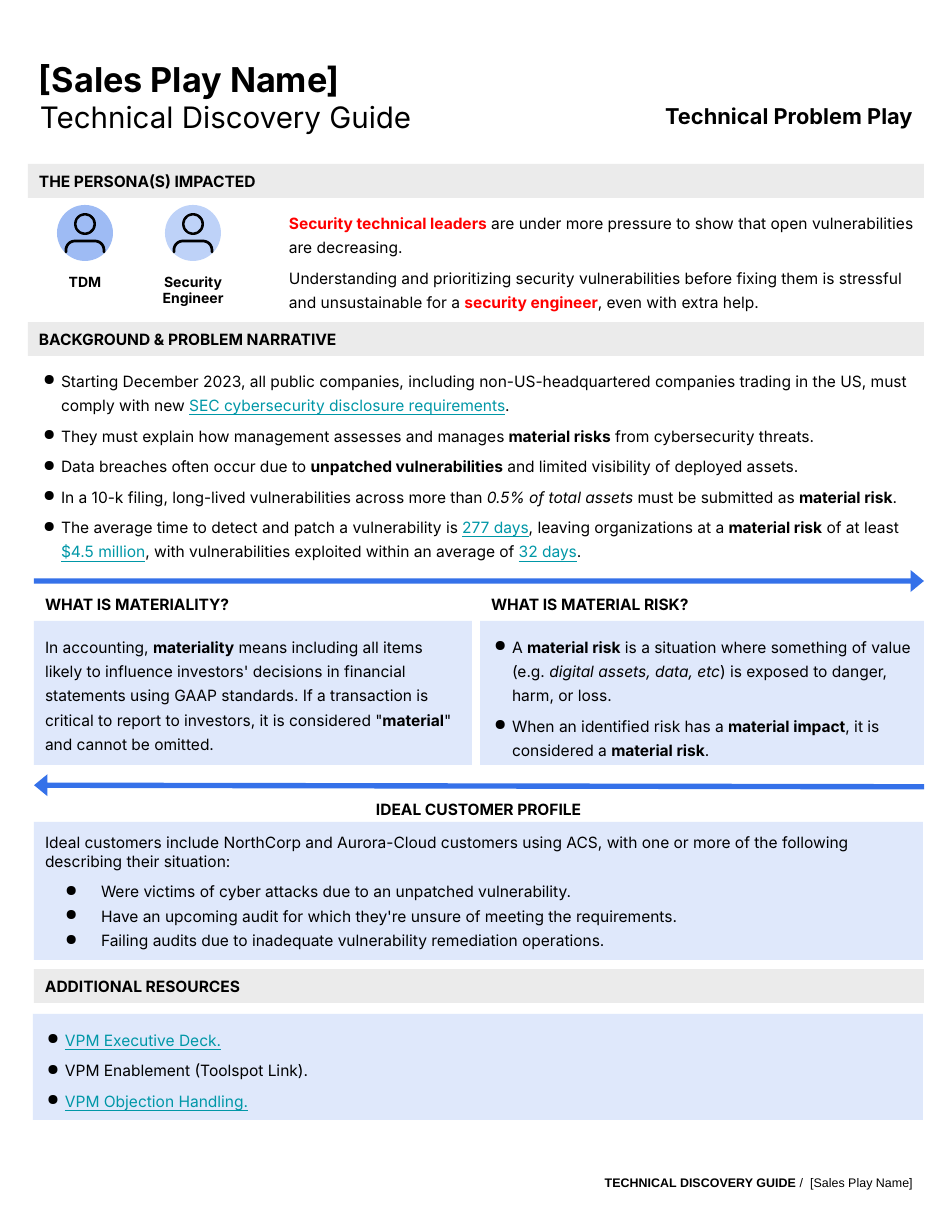
import math

from lxml import etree
from pptx import Presentation
from pptx import util as u
from pptx.dml.color import RGBColor
from pptx.enum import shapes, text
from pptx.oxml.ns import qn

SCALE = 914400 / 112
COLORS = {"black": "000000", "white": "FFFFFF", "red": "FF0000", "link": "0097A7",
          "bar": "EBEBEB", "panel": "DFE8FB", "arrow": "3571E9",
          "tdm": "9EBBF4", "engineer": "BED2F8"}
SHAPE = shapes.MSO_SHAPE
TOP, MIDDLE = text.MSO_ANCHOR.TOP, text.MSO_ANCHOR.MIDDLE
LEFT, CENTER, RIGHT = text.PP_ALIGN.LEFT, text.PP_ALIGN.CENTER, text.PP_ALIGN.RIGHT
TIGHT, WIDE = (21, -18), (56, -36)  # bullet margin and indent


def px(n):
    return u.Emu(round(n * SCALE))


def rgb(name):
    return RGBColor.from_string(COLORS[name])


def add_shape(s, kind, box, fill):
    sp = s.shapes.add_shape(kind, *map(px, box))
    sp.shadow.inherit = False
    sp.fill.solid()
    sp.fill.fore_color.rgb = rgb(fill)
    sp.line.fill.background()
    return sp


def add_bullet(p, margin, indent):
    pPr = p._p.get_or_add_pPr()
    pPr.set("marL", str(px(margin)))
    pPr.set("indent", str(px(indent)))
    clr = etree.SubElement(pPr, qn("a:buClr"))
    etree.SubElement(clr, qn("a:srgbClr"), val=COLORS["black"])
    etree.SubElement(pPr, qn("a:buChar"), char="●")


def add_run(p, content, style, size, font):
    """Style is a set of words out of bold, italic, link and red."""
    r = p.add_run()
    r.text = content
    f = r.font
    f.name, f.size = font, u.Pt(size)
    f.bold, f.italic = "bold" in style, "italic" in style
    f.underline = "link" in style
    f.color.rgb = rgb("link" if "link" in style else "red" if "red" in style else "black")


def add_paragraph(tf, runs, size=10, font="Inter", align=LEFT, spacing=None,
                  before=0, after=0, bullet=None):
    """Runs are plain strings or (string, style) pairs."""
    p = tf.paragraphs[0] if not tf.paragraphs[0].runs else tf.add_paragraph()
    p.alignment = align
    if spacing:
        p.line_spacing = spacing
    p.space_before, p.space_after = u.Pt(before), u.Pt(after)
    if bullet:
        add_bullet(p, *bullet)
    for run in runs:
        content, style = (run, "") if isinstance(run, str) else run
        add_run(p, content, style.split(), size, font)


def add_frame(s, box, fill=None, anchor=TOP, top=0.1):
    sp = add_shape(s, SHAPE.RECTANGLE, box, fill) if fill else s.shapes.add_textbox(*map(px, box))
    tf = sp.text_frame
    tf.word_wrap, tf.vertical_anchor = True, anchor
    tf.margin_left = tf.margin_right = tf.margin_bottom = u.Inches(0.1)
    tf.margin_top = u.Inches(top)
    return tf


def add_list(tf, items, after=4):
    for i, runs in enumerate(items):
        add_paragraph(tf, runs, spacing=1.3, before=4 if i else 0,
                      after=after if i == len(items) - 1 else 0, bullet=TIGHT)


def heading(s, box, title, fill=None, align=LEFT):
    add_paragraph(add_frame(s, box, fill, MIDDLE), [(title, "bold")], align=align)


def header(s, box):
    x, y, w, h = box
    add_paragraph(add_frame(s, (x, y, 657, 56)), [("[Sales Play Name]", "bold")], size=22)
    add_paragraph(add_frame(s, (x + 1, y + 41, 619, 56)), ["Technical Discovery Guide"], size=19)
    add_paragraph(add_frame(s, (x + w - 308, y + 45, 308, 49)),
                  [("Technical Problem Play", "bold")], size=14, align=RIGHT)


def persona(s, box, label, fill, label_width):
    x, y, w, h = box
    add_shape(s, SHAPE.OVAL, box, fill)
    head = add_shape(s, SHAPE.DONUT, (x + 17, y + 8, 22, 22), "black")
    head.adjustments[0] = 0.11

    # shoulders: two quarter arcs joined by a straight top
    left, right, top, bottom, radius = x + 9, x + 47, y + 36, y + 47, 9
    arc = [(radius * math.cos(math.radians(a)), radius * math.sin(math.radians(a)))
           for a in range(0, 91, 10)]
    points = [(left + radius - dx, top + radius - dy) for dx, dy in arc]
    points += [(right - radius + dx, top + radius - dy) for dx, dy in reversed(arc)]
    points.append((right, bottom))
    fb = s.shapes.build_freeform(px(left), px(bottom))
    fb.add_line_segments([(px(a), px(b)) for a, b in points], close=False)
    body = fb.convert_to_shape()
    body.shadow.inherit = False
    body.fill.background()
    body.line.color.rgb = rgb("black")
    body.line.width = u.Pt(1.75)
    body.line._get_or_add_ln().set("cap", "rnd")

    tf = add_frame(s, (x + (w - label_width) / 2, y + 68, label_width, 22), "white", top=0)
    add_paragraph(tf, [(label, "bold")], size=9, align=CENTER)


def personas(s, box):
    x, y, w, h = box
    tf = add_frame(s, (x + 250, y + 33, w - 250, 127))
    add_paragraph(tf, [("Security technical leaders", "bold red"),
                       " are under more pressure to show that open vulnerabilities are decreasing."],
                  spacing=1.3)
    add_paragraph(tf, ["Understanding and prioritizing security vulnerabilities before fixing them "
                       "is stressful and unsustainable for a ",
                       ("security engineer", "bold red"), ", even with extra help."],
                  spacing=1.3, before=4)
    persona(s, (x + 29, y + 41, 56, 56), "TDM", "tdm", 102)
    persona(s, (x + 137, y + 41, 56, 56), "Security Engineer", "engineer", 123)
    heading(s, (x, y, w, 34), "THE PERSONA(S) IMPACTED", "bar")


def background(s, box):
    x, y, w, h = box
    heading(s, (x, y, w, 34), "BACKGROUND & PROBLEM NARRATIVE", "bar")
    add_list(add_frame(s, (x + 1, y + 33, w + 2, h - 33)), [
        ["Starting December 2023, all public companies, including non-US-headquartered companies "
         "trading in the US, must comply with new ",
         ("SEC cybersecurity disclosure requirements", "link"), "."],
        ["They must explain how management assesses and manages ",
         ("material risks", "bold"), " from cybersecurity threats."],
        ["Data breaches often occur due to ", ("unpatched vulnerabilities", "bold"),
         " and limited visibility of deployed assets."],
        ["In a 10-k filing, long-lived vulnerabilities across more than ",
         ("0.5% of total assets", "italic"), " must be submitted as ",
         ("material risk", "bold"), "."],
        ["The average time to detect and patch a vulnerability is ", ("277 days", "link"),
         ", leaving organizations at a ", ("material risk", "bold"), " of at least ",
         ("$4.5 million", "link"), ", with vulnerabilities exploited within an average of ",
         ("32 days", "link"), "."]])


def arrow(s, box, rotation=0):
    sp = add_shape(s, SHAPE.RIGHT_ARROW, box, "arrow")
    sp.adjustments[0], sp.adjustments[1] = 0.245, 0.608
    sp.rotation = rotation


def materiality(s, box):
    x, y, w, h = box
    left, right = (x, 438), (x + w - 444, 444)
    for (cx, cw), title in ((left, "WHAT IS MATERIALITY?"), (right, "WHAT IS MATERIAL RISK?")):
        heading(s, (cx, y, cw, 34), title)
    definition, risk = (add_frame(s, (cx, y + 34, cw, h - 34), "panel") for cx, cw in (left, right))
    add_paragraph(definition, [
        "In accounting, ", ("materiality", "bold"),
        " means including all items likely to influence investors' decisions in financial "
        "statements using GAAP standards. If a transaction is critical to report to investors, "
        'it is considered "', ("material", "bold"), '" and cannot be omitted.'],
        spacing=1.3, after=4)
    add_list(risk, [
        ["A ", ("material risk", "bold"), " is a situation where something of value (e.g. ",
         ("digital assets, data, etc", "italic"), ") is exposed to danger, harm, or loss."],
        ["When an identified risk has a ", ("material impact", "bold"),
         ", it is considered a ", ("material risk", "bold"), "."]])


def customer_profile(s, box):
    x, y, w, h = box
    tf = add_frame(s, (x, y + 30, w, h - 30), "panel")
    add_paragraph(tf, ["Ideal customers include NorthCorp and Aurora-Cloud customers using ACS, "
                       "with one or more of the following describing their situation:"])
    for i, item in enumerate((
            "Were victims of cyber attacks due to an unpatched vulnerability.",
            "Have an upcoming audit for which they're unsure of meeting the requirements.",
            "Failing audits due to inadequate vulnerability remediation operations.")):
        add_paragraph(tf, [item], spacing=1.3, before=0 if i else 4, bullet=WIDE)
    heading(s, (x, y, w, 34), "IDEAL CUSTOMER PROFILE", align=CENTER)


def resources(s, box):
    x, y, w, h = box
    heading(s, (x, y, w, 34), "ADDITIONAL RESOURCES", "bar")
    add_list(add_frame(s, (x - 1, y + 45, w, h - 45), "panel"), [
        [("VPM Executive Deck.", "link")],
        ["VPM Enablement (Toolspot Link)."],
        [("VPM Objection Handling.", "link")]])


def footer(s, box):
    add_paragraph(add_frame(s, box, anchor=MIDDLE),
                  [("TECHNICAL DISCOVERY GUIDE ", "bold"), "/\u00a0 [Sales Play Name]".replace("\u00a0", " ")],
                  size=8, font="Arial", align=RIGHT)


def main():
    prs = Presentation()
    prs.slide_width, prs.slide_height = px(952), px(1232)
    s = prs.slides.add_slide(prs.slide_layouts[6])
    header(s, (28, 47, 896, 97))
    personas(s, (28, 164, 896, 158))
    background(s, (28, 322, 896, 254))
    arrow(s, (34, 570, 890, 22))
    materiality(s, (34, 587, 890, 178))
    arrow(s, (34, 775, 890, 22), 180.1)
    customer_profile(s, (34, 792, 889, 168))
    resources(s, (34, 969, 890, 151))
    footer(s, (174, 1166, 750, 34))
    prs.save("out.pptx")


if __name__ == "__main__":
    main()
